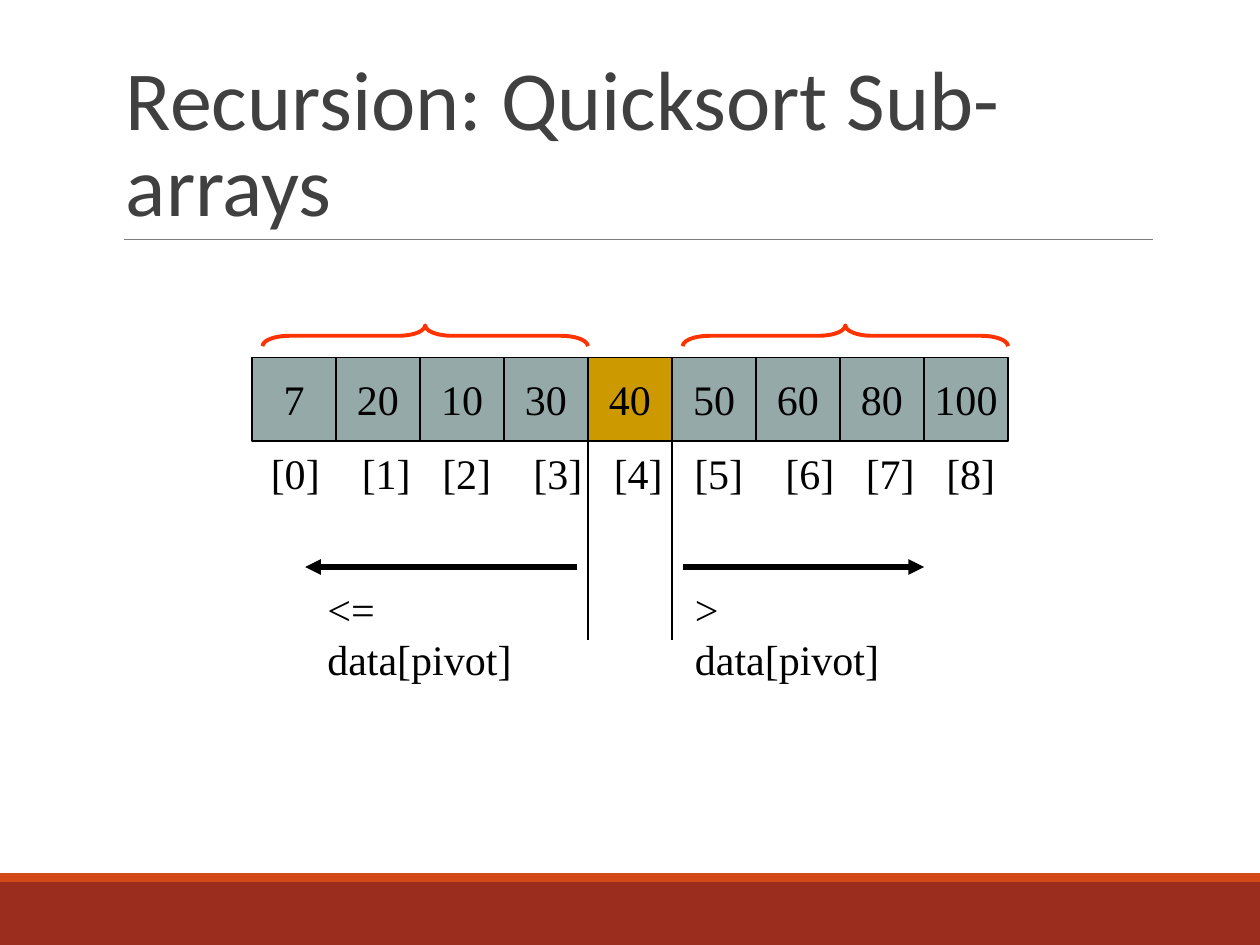
from lxml import etree
from pptx import Presentation
from pptx.dml.color import RGBColor
from pptx.enum.shapes import MSO_CONNECTOR as LINE, MSO_SHAPE as SHAPE
from pptx.enum.text import MSO_ANCHOR as ANCHOR, PP_ALIGN as ALIGN
from pptx.oxml.ns import qn
from pptx.util import Cm, Pt

BLACK = RGBColor(0x00, 0x00, 0x00)
TITLE_GREY = RGBColor(0x40, 0x40, 0x40)
RULE_GREY = RGBColor(0x7F, 0x7F, 0x7F)
DARK_RED = RGBColor(0x9B, 0x2D, 0x1F)
ORANGE = RGBColor(0xD3, 0x48, 0x17)
CELL_GREY = RGBColor(0x96, 0xA9, 0xA9)
PIVOT_GOLD = RGBColor(0xCC, 0x99, 0x00)
BRACE_RED = RGBColor(0xFF, 0x33, 0x00)

prs = Presentation()
prs.slide_width, prs.slide_height = Cm(25.4), Cm(19.05)
slide = prs.slides.add_slide(prs.slide_layouts[6])
shapes = slide.shapes


def add_line(x1, y1, x2, y2, color, width, arrow=False):
    line = shapes.add_connector(LINE.STRAIGHT, Cm(x1), Cm(y1), Cm(x2), Cm(y2))
    line.line.color.rgb = color
    line.line.width = Pt(width)
    if arrow:
        etree.SubElement(line.line._get_or_add_ln(), qn("a:tailEnd"), type="triangle")
    etree.SubElement(line._element.spPr, qn("a:effectLst"))


def write(shape, text, size=24, font="Times New Roman", color=BLACK):
    paragraph = shape.text_frame.paragraphs[0]
    run = paragraph.add_run()
    run.text = text
    run.font.size = Pt(size)
    run.font.name = font
    run.font.color.rgb = color
    return paragraph


for top, height, color in [(17.78, 1.27, DARK_RED), (17.6, 0.18, ORANGE)]:
    band = shapes.add_shape(SHAPE.RECTANGLE, 0, Cm(top), prs.slide_width, Cm(height))
    band.shadow.inherit = False
    band.fill.solid()
    band.fill.fore_color.rgb = color
    band.line.fill.background()
add_line(2.49, 4.83, 23.24, 4.83, RULE_GREY, 0.5)

title = shapes.add_textbox(Cm(2.29), Cm(0.79), Cm(20.96), Cm(4.04))
title.text_frame.word_wrap = True
title.text_frame.vertical_anchor = ANCHOR.BOTTOM
write(title, "Recursion: Quicksort Sub-arrays", 48, "Calibri", TITLE_GREY).line_spacing = 0.85

values = [7, 20, 10, 30, 40, 50, 60, 80, 100]
pivot = 4
array_left, array_top, array_width = 5.08, 7.2, 15.24
edges = [array_left + array_width * i / len(values) for i in range(len(values) + 1)]
for i, value in enumerate(values):
    cell = shapes.add_shape(SHAPE.RECTANGLE, Cm(edges[i]), Cm(array_top),
                            Cm(edges[1] - edges[0]), Cm(edges[1] - edges[0]))
    cell.shadow.inherit = False
    cell.fill.solid()
    cell.fill.fore_color.rgb = PIVOT_GOLD if i == pivot else CELL_GREY
    cell.line.color.rgb = BLACK
    cell.line.width = Pt(0.75)
    cell.text_frame.word_wrap = False
    cell.text_frame.vertical_anchor = ANCHOR.MIDDLE
    write(cell, str(value)).alignment = ALIGN.CENTER

indices = shapes.add_textbox(Cm(5.21), Cm(8.89), Cm(15.11), Cm(1.27))
indices.text_frame.word_wrap = True
tab_list = etree.SubElement(indices.text_frame.paragraphs[0]._p.get_or_add_pPr(), qn("a:tabLst"))
tab_stop = 0
for step in [52, 46, 52, 46, 46, 52, 46, 46]:
    tab_stop += Pt(step)
    etree.SubElement(tab_list, qn("a:tab"), pos=str(tab_stop), algn="l")
write(indices, "\t".join(f"[{i}]" for i in range(len(values))))

for divider in edges[pivot:pivot + 2]:
    add_line(divider, array_top, divider, 12.91, BLACK, 0.75)

sides = [
    ("<= data[pivot]", 6.35, 5.38, 11.64, 6.15, 5.29),
    ("> data[pivot]", 13.76, 4.9, 13.76, 18.63, 13.76),
]
for condition, left, width, arrow_start, arrow_end, brace_left in sides:
    add_line(arrow_start, 11.43, arrow_end, 11.43, BLACK, 3, arrow=True)
    label = shapes.add_textbox(Cm(left), Cm(11.64), Cm(width), Cm(1.27))
    label.text_frame.word_wrap = False
    write(label, condition)

    depth, span = 0.42, 6.56
    brace = shapes.add_shape(SHAPE.LEFT_BRACE, Cm(brace_left + (span - depth) / 2),
                             Cm(6.77 - span / 2), Cm(depth), Cm(span))
    brace.rotation = 90
    brace.adjustments[0] = 1.29
    brace.shadow.inherit = False
    brace.fill.background()
    brace.line.color.rgb = BRACE_RED
    brace.line.width = Pt(2.25)

prs.save("out.pptx")
